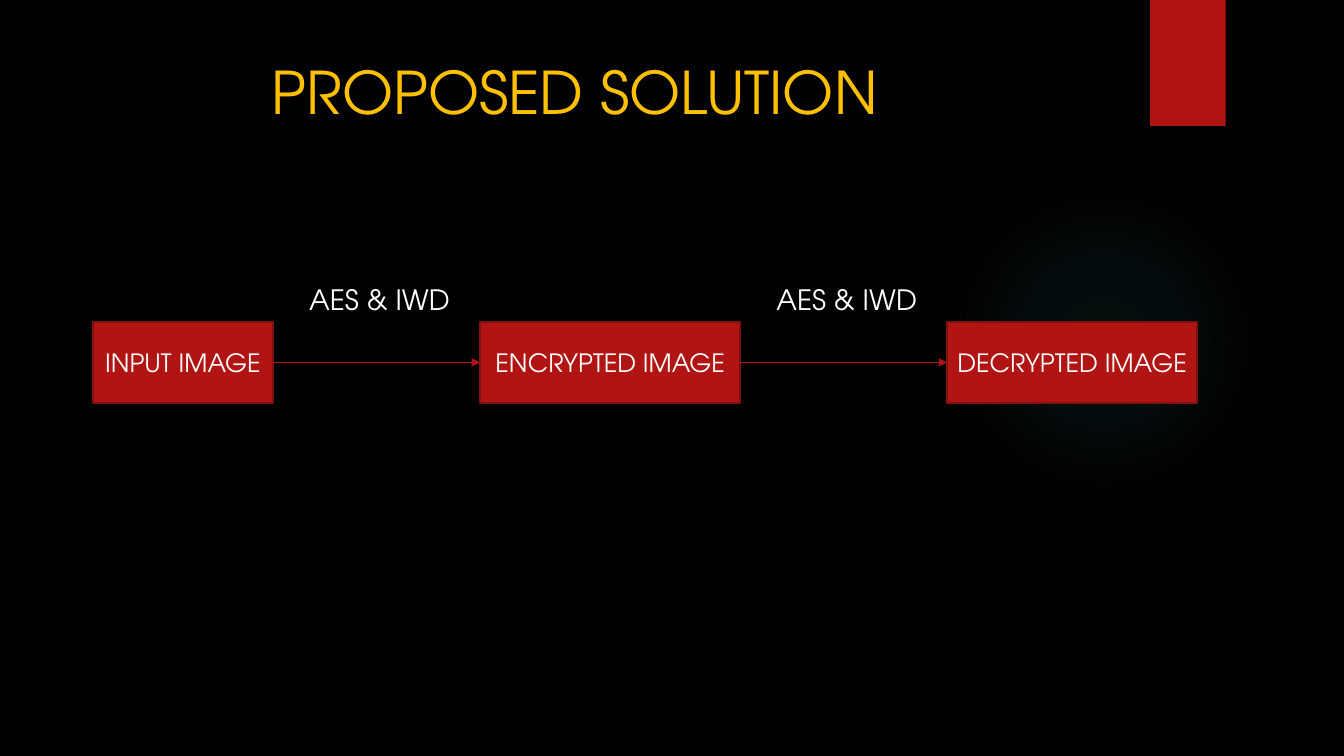
from dataclasses import dataclass

from lxml.etree import SubElement
from pptx import Presentation
from pptx.dml.color import RGBColor
from pptx.enum.shapes import MSO_CONNECTOR, MSO_SHAPE
from pptx.enum.text import MSO_ANCHOR, MSO_AUTO_SIZE, PP_ALIGN
from pptx.oxml import parse_xml
from pptx.oxml.ns import nsdecls, qn
from pptx.util import Pt


@dataclass(frozen=True)
class Theme:
    font: str = "TeX Gyre Adventor"
    background: str = "000000"
    accent: str = "B01513"
    border: str = "82100E"
    heading: str = "FFC000"
    text: str = "FFFFFF"
    glow: str = "50B9C1"
    title_size: float = 42
    label_size: float = 20
    step_size: float = 18


THEME = Theme()
STEPS = [("INPUT IMAGE", 129), ("ENCRYPTED IMAGE", 186), ("DECRYPTED IMAGE", 178.5)]
METHODS = ["AES & IWD", "AES & IWD"]
STEP_GAP = 147.7
LABEL_HEIGHT = 34


def rgb(value):
    return RGBColor.from_string(value)


def write_text(shape, text, size, color=THEME.text, align=PP_ALIGN.CENTER,
               anchor=MSO_ANCHOR.MIDDLE, wrap=False):
    frame = shape.text_frame
    frame.auto_size = MSO_AUTO_SIZE.NONE
    frame.word_wrap = wrap
    frame.vertical_anchor = anchor
    para = frame.paragraphs[0]
    para.alignment = align
    span = para.add_run()
    span.text = text
    span.font.name = THEME.font
    span.font.size = Pt(size)
    span.font.color.rgb = rgb(color)


def add_block(page, kind, box, fill=THEME.accent, border=None):
    shape = page.shapes.add_shape(kind, *map(Pt, box))
    shape.shadow.inherit = False
    shape.fill.solid()
    shape.fill.fore_color.rgb = rgb(fill)
    if border:
        shape.line.color.rgb = rgb(border)
        shape.line.width = Pt(1.5)
    else:
        shape.line.fill.background()
    return shape


def add_glow(page, box):
    shape = add_block(page, MSO_SHAPE.OVAL, box, fill=THEME.glow)
    # Radial fade from the centre to a clear rim
    stops = "".join(
        f'<a:gs pos="{position}000"><a:srgbClr val="{THEME.glow}">'
        f'<a:alpha val="{alpha}000"/></a:srgbClr></a:gs>'
        for position, alpha in [(0, 7), (36, 6), (69, 0), (100, 0)])
    gradient = parse_xml(
        f'<a:gradFill {nsdecls("a")} rotWithShape="1"><a:gsLst>{stops}</a:gsLst>'
        '<a:path path="circle"><a:fillToRect l="50000" t="50000" r="50000" b="50000"/>'
        '</a:path></a:gradFill>')
    properties = shape.element.spPr
    properties.replace(properties.find(qn("a:solidFill")), gradient)


def add_arrow(page, start, end, middle):
    arrow = page.shapes.add_connector(
        MSO_CONNECTOR.STRAIGHT, Pt(start), Pt(middle), Pt(end), Pt(middle))
    arrow.line.color.rgb = rgb(THEME.accent)
    arrow.line.width = Pt(0.75)
    SubElement(arrow.line._get_or_add_ln(), qn("a:tailEnd"), type="triangle")
    SubElement(arrow.element.spPr, qn("a:effectLst"))


def add_backdrop(page, width):
    page.background.fill.solid()
    page.background.fill.fore_color.rgb = rgb(THEME.background)
    add_glow(page, (677.5, 131.8, 221.8, 221.8))
    add_block(page, MSO_SHAPE.RECTANGLE, (width - 138.5, 0, 54, 90))


def add_title(page, box):
    title = page.shapes.title
    title.left, title.top, title.width, title.height = map(Pt, box)
    title.text_frame.margin_left = Pt(143)
    write_text(title, "PROPOSED SOLUTION", THEME.title_size, color=THEME.heading,
               align=PP_ALIGN.LEFT, anchor=MSO_ANCHOR.TOP, wrap=True)


def add_process(page, box):
    left, top, _, height = box
    # Steps, left to right with equal gaps
    for index, (name, step_width) in enumerate(STEPS):
        step = add_block(page, MSO_SHAPE.RECTANGLE, (left, top, step_width, height),
                         border=THEME.border)
        write_text(step, name, THEME.step_size)
        left += step_width
        # Arrow and method label to the next step
        if index < len(METHODS):
            add_arrow(page, left, left + STEP_GAP, top + height / 2)
            label = page.shapes.add_textbox(
                Pt(left + 2), Pt(top - LABEL_HEIGHT + 1), Pt(STEP_GAP), Pt(LABEL_HEIGHT))
            write_text(label, METHODS[index], THEME.label_size)
        left += STEP_GAP


def main():
    deck = Presentation()
    deck.slide_width, deck.slide_height = Pt(960), Pt(540)
    page = deck.slides.add_slide(deck.slide_layouts[5])
    add_backdrop(page, 960)
    add_title(page, (51, 36, 741, 110))
    add_process(page, (66.2, 229.7, 789, 58.3))
    deck.save("out.pptx")


if __name__ == "__main__":
    main()
